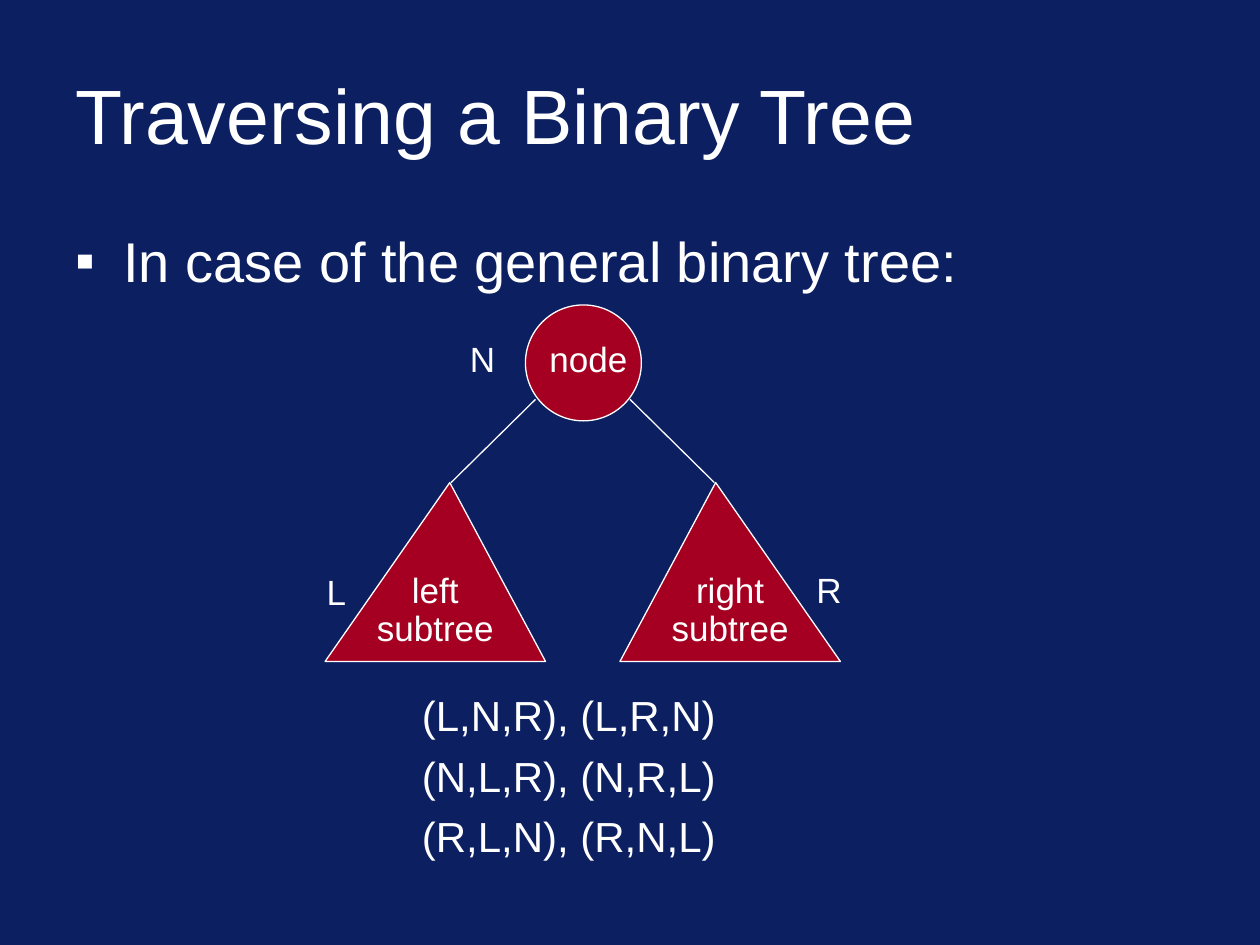
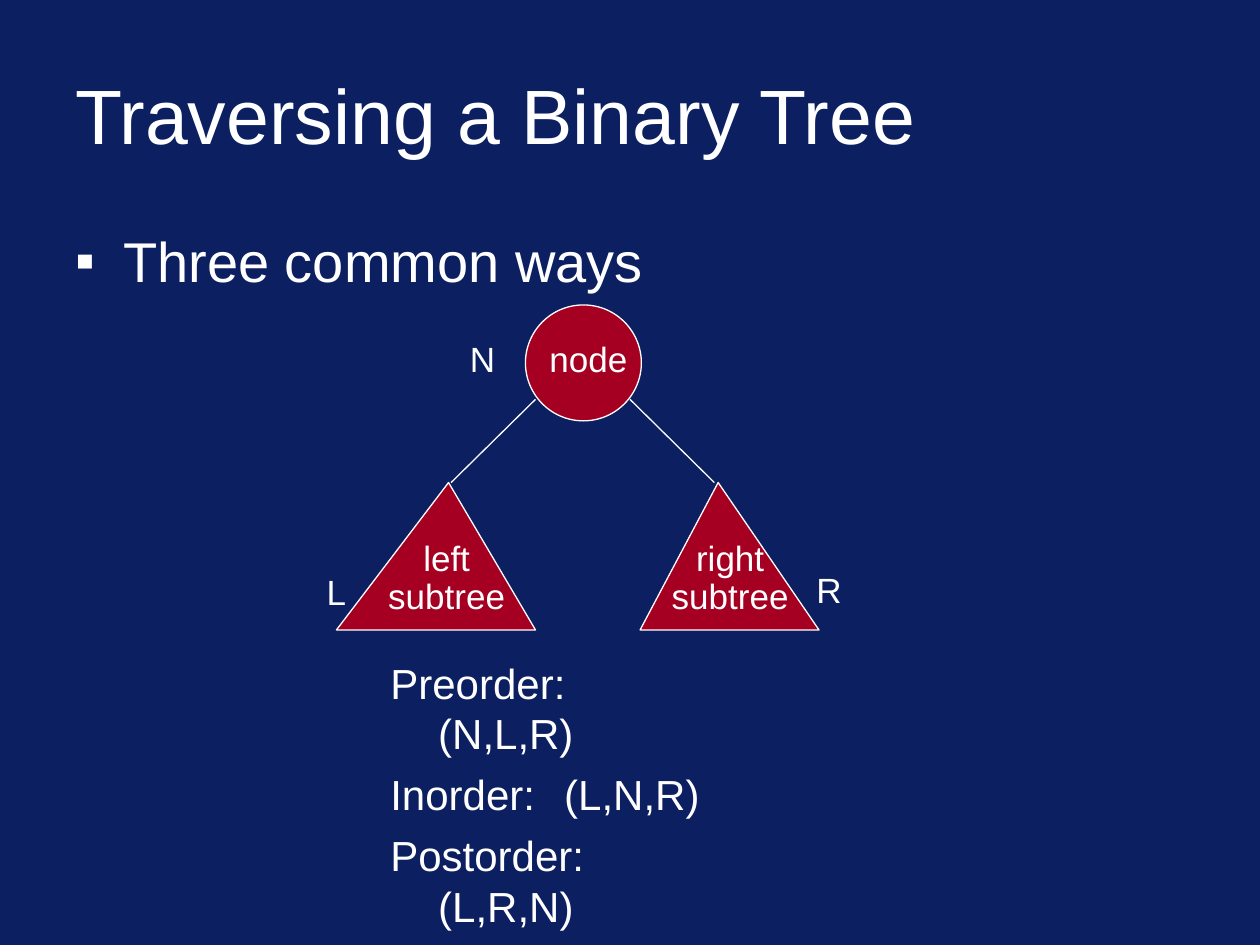
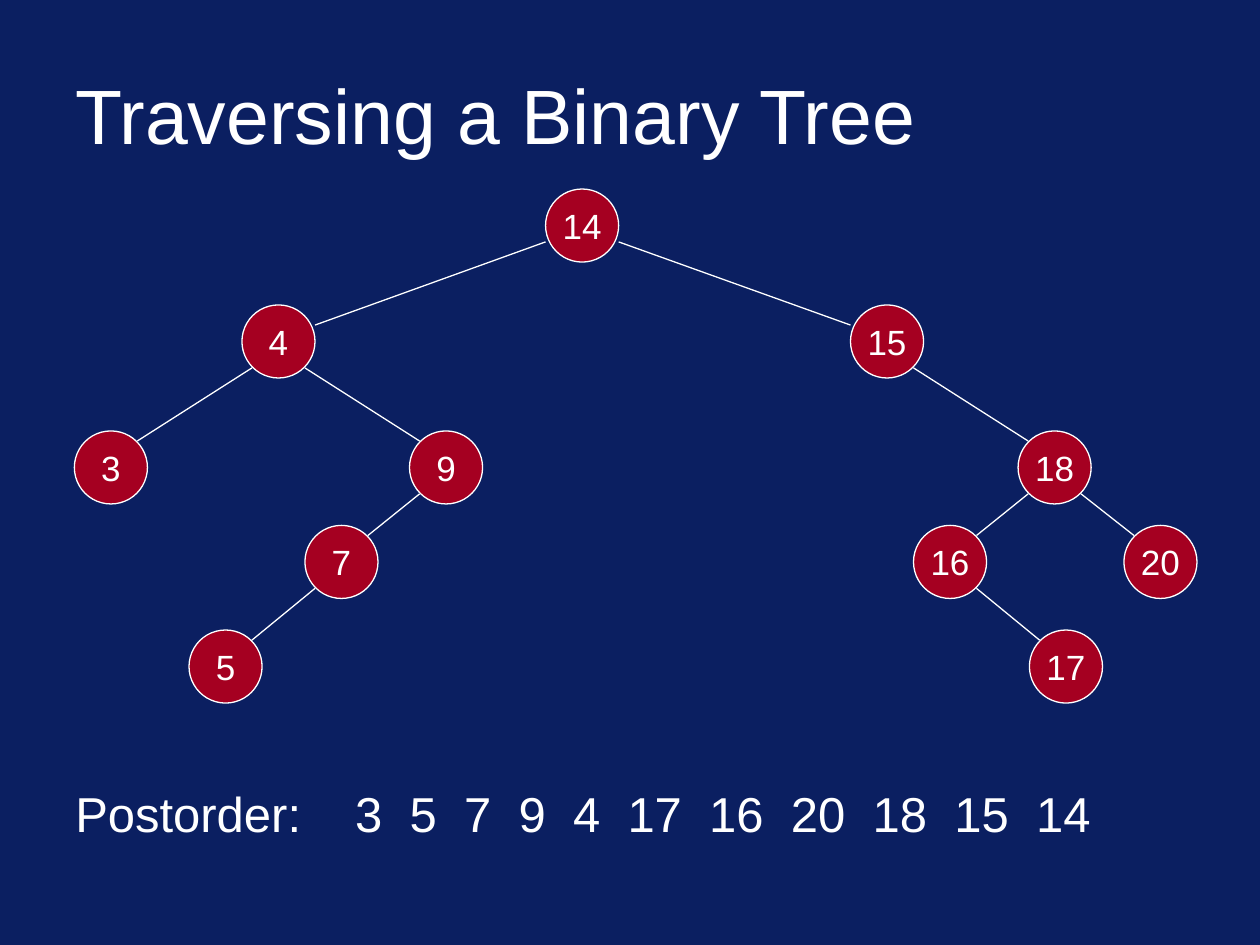
from pptx import Presentation
from pptx.dml.color import RGBColor
from pptx.enum.shapes import MSO_CONNECTOR, MSO_SHAPE
from pptx.enum.text import MSO_ANCHOR, PP_ALIGN
from pptx.oxml.ns import qn
from pptx.util import Inches, Pt
from lxml import etree

LEFT, CENTER = PP_ALIGN.LEFT, PP_ALIGN.CENTER
MIDDLE = MSO_ANCHOR.MIDDLE
OVAL, LINE = MSO_SHAPE.OVAL, MSO_CONNECTOR.STRAIGHT
NAVY, RED, WHITE = "0B1F61", "A50021", "FFFFFF"
FONT = "Arial"
HANG = 0.38
rgb = RGBColor.from_string


def add_box(slide, left, top, width, height):
    frame = slide.shapes.add_textbox(
        Inches(left), Inches(top), Inches(width), Inches(height)).text_frame
    frame.word_wrap = True
    return frame


def write(frame, lines, size, align=LEFT, lead=None, gap=0, hang=0,
          bullet=None, tabs=()):
    for i, line in enumerate(lines):
        para = frame.paragraphs[0] if i == 0 else frame.add_paragraph()
        para.text = line
        para.alignment = align
        if lead:
            para.line_spacing = lead
        if i:
            para.space_before = Pt(gap)
        props = para._p.get_or_add_pPr()
        if hang:
            props.set("marL", str(Inches(hang)))
            props.set("indent", str(-Inches(hang)))
        if bullet:
            color = etree.SubElement(props, qn("a:buClr"))
            etree.SubElement(color, qn("a:srgbClr"), val=WHITE)
            etree.SubElement(props, qn("a:buFont"), typeface=FONT)
            etree.SubElement(props, qn("a:buChar"), char=bullet)
        if tabs:
            stops = etree.SubElement(props, qn("a:tabLst"))
            for stop in tabs:
                etree.SubElement(stops, qn("a:tab"), pos=str(Inches(stop)), algn="l")
        para.font.name = FONT
        para.font.size = Pt(size)
        para.font.color.rgb = rgb(WHITE)


prs = Presentation()
prs.slide_width, prs.slide_height = Inches(10), Inches(7.5)
reds = []    # circles and triangles
edges = []   # slide, start x, start y, end x, end y

# Background and title of every slide
slides = []
for _ in range(3):
    slide = prs.slides.add_slide(prs.slide_layouts[6])
    slide.background.fill.solid()
    slide.background.fill.fore_color.rgb = rgb(NAVY)
    title = add_box(slide, 0.5, 0.4, 9, 1)
    title.vertical_anchor = MIDDLE
    write(title, ["Traversing a Binary Tree"], 44)
    slides.append(slide)

# Slides 1 and 2: a node with two subtrees
# Each subtree: name, apex x, base left, base right, text left
views = [
    ("In case of the general binary tree:", 5.25, 4.5,
     [("left subtree", 3.57, 2.58, 4.33, 2.83),
      ("right subtree", 5.68, 4.92, 6.67, 5.17)],
     (3.25, 5.42, 3.33, 1.58),
     ["(L,N,R), (L,R,N)", "(N,L,R), (N,R,L)", "(R,L,N), (R,N,L)"]),
    ("Three common ways", 5, 4.25,
     [("left subtree", 3.56, 2.67, 4.25, 2.92),
      ("right subtree", 5.7, 5.08, 6.5, 5.17)],
     (3, 5.17, 3.33, 1.5),
     ["Preorder:\v(N,L,R)", "Inorder:\t(L,N,R)", "Postorder:\v(L,R,N)"]),
]
for slide, (head, base, top, trees, place, orders) in zip(slides, views):
    write(add_box(slide, 0.5, 1.75, 9, 1), [head], 32, hang=HANG, bullet="▪")

    reds.append(slide.shapes.add_shape(
        OVAL, Inches(4.17), Inches(2.42), Inches(0.92), Inches(0.92)))
    write(add_box(slide, 4.17, 2.63, 1, 0.44), ["node"], 20, CENTER)
    edges += [(slide, 4.25, 3.17, 3.58, 3.83), (slide, 5, 3.17, 5.67, 3.83)]

    for name, apex, left, right, text in trees:
        path = slide.shapes.build_freeform(Inches(apex), Inches(3.83))
        path.add_line_segments([(Inches(left), Inches(base)),
                                (Inches(right), Inches(base))])
        reds.append(path.convert_to_shape())
        write(add_box(slide, text, top, 1.25, 0.7), [name], 20, CENTER, 0.9)

    for mark, x, y in [("L", 2.42, 4.52), ("N", 3.58, 2.67), ("R", 6.33, 4.5)]:
        write(add_box(slide, x, y, 0.5, 0.4), [mark], 20, CENTER, 0.9)

    write(add_box(slide, *place), orders, 24, gap=6, hang=HANG, tabs=range(8))

# Slide 3: search tree, each key with its centre and parent
slide = slides[2]
nodes = {
    14: (4.62, 1.79, None),
    4: (2.21, 2.71, 14), 15: (7.04, 2.71, 14),
    3: (0.88, 3.71, 4), 9: (3.54, 3.71, 4), 18: (8.37, 3.71, 15),
    7: (2.71, 4.46, 9), 16: (7.54, 4.46, 18), 20: (9.21, 4.46, 18),
    5: (1.79, 5.29, 7), 17: (8.46, 5.29, 16),
}
RAD, DIAG, FLAT = 0.29, 0.21, 0.13
for key, (x, y, parent) in nodes.items():
    oval = slide.shapes.add_shape(
        OVAL, Inches(x - RAD), Inches(y - RAD), Inches(2 * RAD), Inches(2 * RAD))
    reds.append(oval)
    frame = oval.text_frame
    frame.word_wrap = False
    frame.vertical_anchor = MIDDLE
    frame.margin_left = frame.margin_right = 0
    frame.margin_top = frame.margin_bottom = 0
    write(frame, [str(key)], 20, CENTER)
    if parent:
        px, py, _ = nodes[parent]
        side = 1 if x > px else -1
        out, drop = (RAD, FLAT) if parent == 14 else (DIAG, DIAG)
        edges.append((slide, px + side * out, py + drop, x - side * out, y - drop))

# Visiting order, with tab stops that leave one digit's width between keys
order = [3, 5, 7, 9, 4, 17, 16, 20, 18, 15, 14]
DIGIT = 28 * 0.556 / 72
stops = [2.22]
for key in order[:-1]:
    stops.append(stops[-1] + (len(str(key)) + 1) * DIGIT)
write(add_box(slide, 0.5, 6.17, 9, 0.75),
      ["\t".join(["Postorder:", *map(str, order)])], 28, tabs=stops)

# Shared look of shapes and edges
for shape in reds:
    shape.shadow.inherit = False
    shape.fill.solid()
    shape.fill.fore_color.rgb = rgb(RED)
    shape.line.color.rgb = rgb(WHITE)
    shape.line.width = Pt(0.75)
for slide, *ends in edges:
    edge = slide.shapes.add_connector(LINE, *map(Inches, ends))
    edge.line.color.rgb = rgb(WHITE)
    edge.line.width = Pt(0.75)
    etree.SubElement(edge._element.spPr, qn("a:effectLst"))

prs.save("out.pptx")
